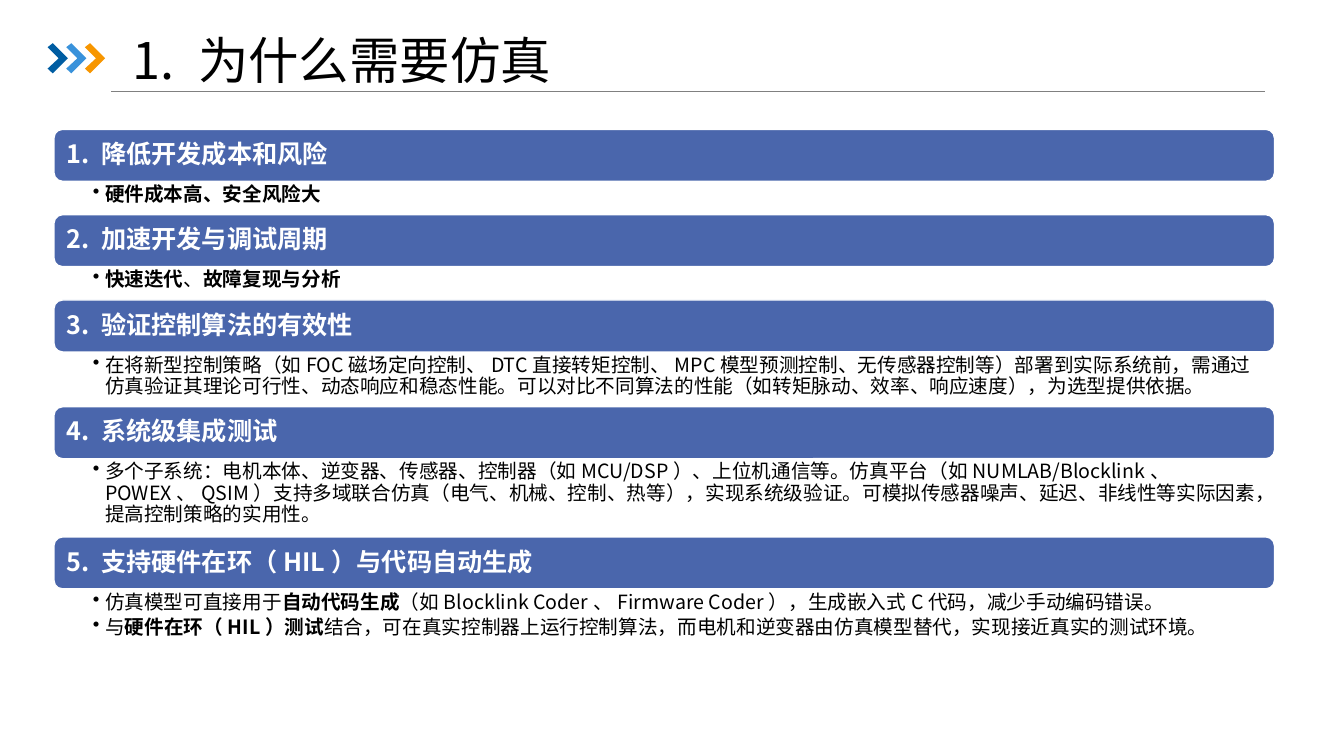
from dataclasses import dataclass
from typing import Any

from lxml.etree import SubElement
from pptx import Presentation
from pptx.dml.color import RGBColor as RGB
from pptx.enum.shapes import MSO_CONNECTOR as CONNECTOR, MSO_SHAPE as SHAPE
from pptx.enum.text import MSO_ANCHOR as ANCHOR, PP_ALIGN as ALIGN
from pptx.oxml.ns import qn
from pptx.util import Cm, Pt


@dataclass(frozen=True)
class Theme:
    font: str = "Noto Sans CJK SC"
    title_size: float = 36
    heading_size: float = 18
    body_size: float = 14
    ink: str = "000000"
    paper: str = "FFFFFF"
    bar: str = "4A66AC"
    rule: str = "808080"
    chevrons: tuple[str, ...] = ("005DA2", "3992DB", "F79600")


@dataclass(frozen=True)
class Run:
    text: str
    bold: bool = False


@dataclass(frozen=True)
class Section:
    heading: str
    body_height: float
    bullets: list[list[Run]]


THEME = Theme()
LEFT, TOP, WIDTH, BAR_HEIGHT = 1.36, 3.26, 30.76, 1.31
CHEVRON = [(0, 0.1), (0.13, 0), (0.51, 0.38), (0.13, 0.76), (0, 0.64), (0.28, 0.38)]
CHEVRON_LEFT, CHEVRON_TOP, CHEVRON_STEP = 1.2, 1.09, 0.47

SECTIONS = [
    Section("1. 降低开发成本和风险", 0.84, [[Run("硬件成本高、安全风险大", True)]]),
    Section("2. 加速开发与调试周期", 0.84, [
        [Run("快速迭代", True), Run("、"), Run("故障复现与分析", True)],
    ]),
    Section("3. 验证控制算法的有效性", 1.38, [
        [Run("在将新型控制策略（如FOC磁场定向控制、DTC直接转矩控制、MPC模型预测控制、"
             "无传感器控制等）部署到实际系统前，需通过仿真验证其理论可行性、动态响应和稳态性能。"
             "可以对比不同算法的性能（如转矩脉动、效率、响应速度），为选型提供依据。")],
    ]),
    Section("4. 系统级集成测试", 1.97, [
        [Run("多个子系统：电机本体、逆变器、传感器、控制器（如MCU/DSP）、上位机通信等。"
             "仿真平台（如NUMLAB/Blocklink、POWEX、QSIM）支持多域联合仿真"
             "（电气、机械、控制、热等），实现系统级验证。"
             "可模拟传感器噪声、延迟、非线性等实际因素，提高控制策略的实用性。")],
    ]),
    Section("5. 支持硬件在环（HIL）与代码自动生成", 2.13, [
        [Run("仿真模型可直接用于"), Run("自动代码生成", True),
         Run("（如Blocklink Coder、Firmware Coder），生成嵌入式C代码，减少手动编码错误。")],
        [Run("与"), Run("硬件在环（HIL）测试", True),
         Run("结合，可在真实控制器上运行控制算法，而电机和逆变器由仿真模型替代，"
             "实现接近真实的测试环境。")],
    ]),
]


def apply(target: Any, values: dict[str, Any]) -> None:
    for name, value in values.items():
        setattr(target, name, value)


def set_frame(tf: Any, anchor: Any, left: float, right: float, vertical: float) -> None:
    apply(tf, {
        "word_wrap": True, "vertical_anchor": anchor,
        "margin_left": Cm(left), "margin_right": Cm(right),
        "margin_top": Cm(vertical), "margin_bottom": Cm(vertical),
    })


def write_runs(p: Any, runs: list[Run], size: float, color: str) -> None:
    apply(p, {"alignment": ALIGN.LEFT, "line_spacing": 0.9})
    for run in runs:
        r = p.add_run()
        r.text = run.text
        apply(r.font, {"name": THEME.font, "size": Pt(size), "bold": run.bold})
        r.font.color.rgb = RGB.from_string(color)
        SubElement(r.font._element, qn("a:ea"), typeface=THEME.font)


def add_bullet(p: Any) -> None:
    apply(p, {"level": 1, "space_after": Pt(2.8)})
    props = p._p.get_or_add_pPr()
    for name, value in {"marL": Cm(0.31), "indent": -Cm(0.31)}.items():
        props.set(name, str(int(value)))
    SubElement(props, qn("a:buChar"), char="•")


def draw_chevron(s: Any, left: float, color: str) -> None:
    points = [(Cm(left + x), Cm(CHEVRON_TOP + y)) for x, y in CHEVRON]
    builder = s.shapes.build_freeform(*points[0])
    builder.add_line_segments(points[1:], close=True)
    sp = builder.convert_to_shape()
    sp.shadow.inherit = False
    sp.fill.solid()
    sp.fill.fore_color.rgb = RGB.from_string(color)
    sp.line.fill.background()


def draw_header(s: Any) -> None:
    rule = s.shapes.add_connector(CONNECTOR.STRAIGHT, Cm(2.8), Cm(2.31), Cm(31.88), Cm(2.31))
    rule.line.color.rgb = RGB.from_string(THEME.rule)
    rule.line.width = Pt(0.5)
    SubElement(rule._element.spPr, qn("a:effectLst"))
    for i, color in enumerate(THEME.chevrons):
        draw_chevron(s, CHEVRON_LEFT + i * CHEVRON_STEP, color)
    title = s.shapes.add_textbox(Cm(3.1), Cm(1.04), Cm(29.24), Cm(1.09))
    set_frame(title.text_frame, ANCHOR.MIDDLE, 0.25, 0.25, 0.13)
    write_runs(title.text_frame.paragraphs[0], [Run("1. 为什么需要仿真")],
               THEME.title_size, THEME.ink)


def draw_section(s: Any, section: Section, top: float) -> None:
    bar = s.shapes.add_shape(SHAPE.ROUNDED_RECTANGLE, Cm(LEFT), Cm(top),
                             Cm(WIDTH), Cm(BAR_HEIGHT))
    bar.shadow.inherit = False
    bar.fill.solid()
    bar.fill.fore_color.rgb = RGB.from_string(THEME.bar)
    bar.line.color.rgb = RGB.from_string(THEME.paper)
    bar.line.width = Pt(1)
    set_frame(bar.text_frame, ANCHOR.MIDDLE, 0.25, 0.25, 0.18)
    write_runs(bar.text_frame.paragraphs[0], [Run(section.heading, True)],
               THEME.heading_size, THEME.paper)

    body = s.shapes.add_textbox(Cm(LEFT), Cm(top + BAR_HEIGHT),
                                Cm(WIDTH), Cm(section.body_height))
    tf = body.text_frame
    set_frame(tf, ANCHOR.TOP, 0.98, 0.36, 0.08)
    for i, runs in enumerate(section.bullets):
        p = tf.add_paragraph() if i else tf.paragraphs[0]
        add_bullet(p)
        write_runs(p, runs, THEME.body_size, THEME.ink)


def main() -> None:
    prs = Presentation()
    apply(prs, {"slide_width": Cm(33.87), "slide_height": Cm(19.05)})
    s = prs.slides.add_slide(prs.slide_layouts[6])
    draw_header(s)
    top = TOP
    for section in SECTIONS:
        draw_section(s, section, top)
        top += BAR_HEIGHT + section.body_height
    prs.save("out.pptx")


if __name__ == "__main__":
    main()
